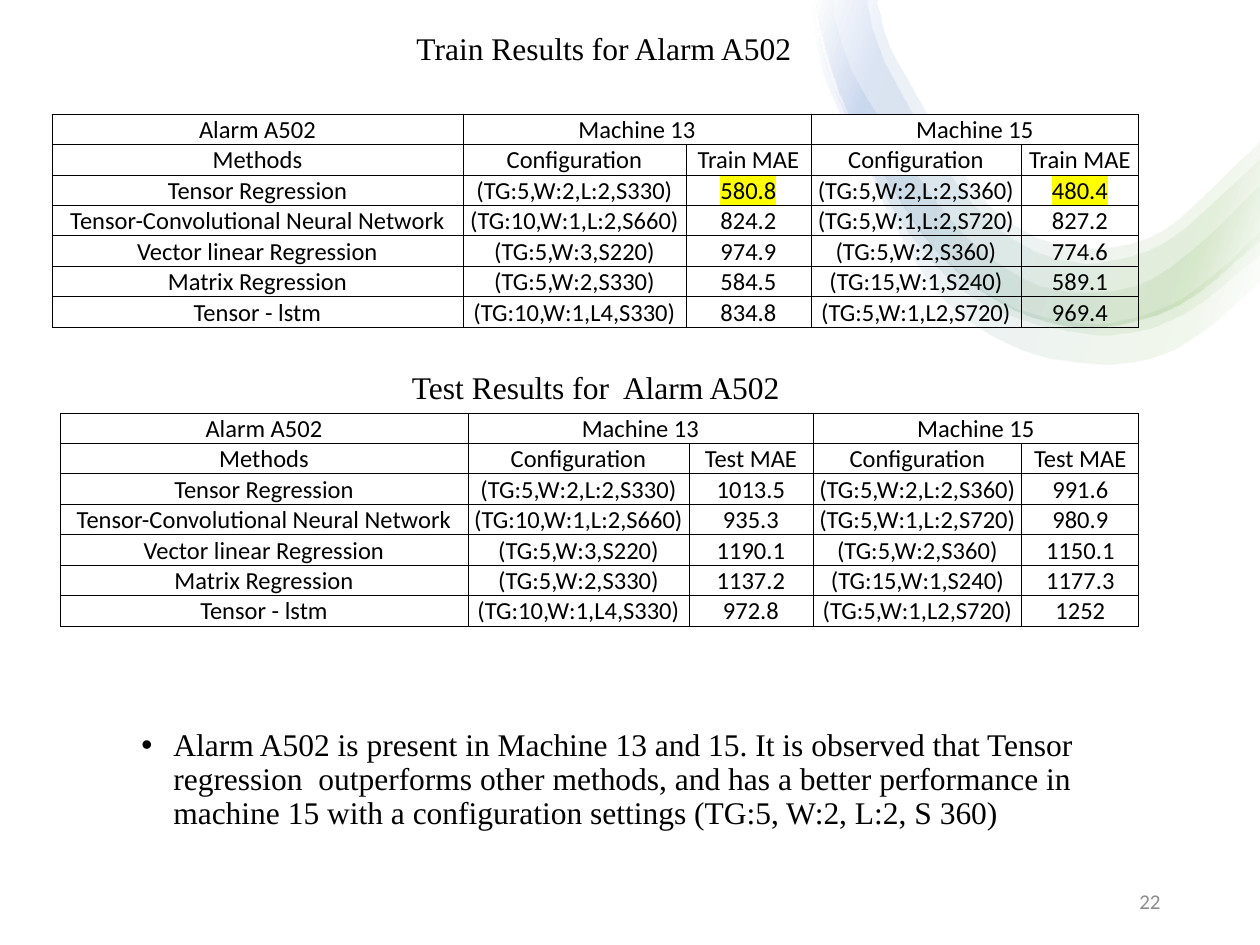
from lxml import etree
from pptx import Presentation
from pptx.dml.color import RGBColor
from pptx.enum.text import MSO_ANCHOR as Anchor, PP_ALIGN as Align
from pptx.oxml import parse_xml
from pptx.oxml.ns import nsdecls, qn
from pptx.util import Pt

PX = 914400 // 126
BLACK, WHITE, GREY, YELLOW = "000000", "FFFFFF", "8C8C8C", "FFFF00"
SERIF, SANS = "Times New Roman", "Calibri"

RIBBON_STOPS = [(2, WHITE), (16, "70AD47"), (85, "4472C4"), (100, WHITE)]
CORE_OUTER = [(1260, 239), (1246, 252), (1179, 305), (1100, 328), (1031, 317), (973, 285),
              (924, 236), (882, 170), (840, 94), (818, 10), (818, 0)]
# Inner edge runs from the top down to the right, outer edge runs back.
RIBBONS = [
    ([(816, 0), (819, 34), (833, 84), (857, 129), (891, 185), (927, 238), (969, 280),
      (1017, 309), (1068, 321), (1109, 323), (1171, 304), (1217, 271), (1260, 231)],
     [(1260, 281), (1211, 325), (1166, 353), (1125, 363), (1095, 364), (1036, 355),
      (979, 328), (937, 292), (895, 226), (866, 164), (842, 118), (823, 71), (814, 18),
      (813, 0)]),
    ([(834, 0), (837, 25), (851, 68), (873, 107), (907, 160), (941, 207), (978, 247),
      (1021, 277), (1056, 289), (1096, 292), (1133, 286), (1163, 271), (1205, 238),
      (1260, 184)],
     [(1260, 253), (1205, 299), (1160, 324), (1121, 333), (1092, 334), (1037, 324),
      (992, 307), (958, 286), (914, 239), (879, 184), (852, 127), (832, 81), (820, 39),
      (818, 0)]),
    ([(869, 0), (869, 10), (881, 52), (906, 101), (925, 134), (963, 192), (1003, 232),
      (1048, 256), (1100, 263), (1167, 241), (1234, 183), (1260, 158)], CORE_OUTER),
    ([(879, 0), (879, 8), (890, 46), (915, 92), (934, 126), (969, 181), (1005, 219),
      (1049, 242), (1100, 249), (1162, 231), (1227, 173), (1260, 141)], CORE_OUTER),
]

# Method, configuration on machine 13, configuration on machine 15
METHODS = [
    ("Tensor Regression", "(TG:5,W:2,L:2,S330)", "(TG:5,W:2,L:2,S360)"),
    ("Tensor-Convolutional Neural Network", "(TG:10,W:1,L:2,S660)", "(TG:5,W:1,L:2,S720)"),
    ("Vector linear Regression", "(TG:5,W:3,S220)", "(TG:5,W:2,S360)"),
    ("Matrix Regression", "(TG:5,W:2,S330)", "(TG:15,W:1,S240)"),
    ("Tensor - lstm", "(TG:10,W:1,L4,S330)", "(TG:5,W:1,L2,S720)"),
]
TRAIN_MAE = [("580.8", "480.4"), ("824.2", "827.2"), ("974.9", "774.6"),
             ("584.5", "589.1"), ("834.8", "969.4")]
TEST_MAE = [("1013.5", "991.6"), ("935.3", "980.9"), ("1190.1", "1150.1"),
            ("1137.2", "1177.3"), ("972.8", "1252")]


def rgb(color):
    return RGBColor.from_string(color)


def emu(box):
    return [length * PX for length in box]


def add_run(paragraph, text, size, font, color=BLACK):
    run = paragraph.add_run()
    run.text = text
    run.font.size, run.font.name = Pt(size), font
    run.font.color.rgb = rgb(color)
    return run


def highlight(run, color):
    fill = run.font._element.find(qn("a:solidFill"))
    fill.addnext(parse_xml(f'<a:highlight {nsdecls("a")}><a:srgbClr val="{color}"/></a:highlight>'))


def smooth(points, steps=4):
    """Catmull-Rom curve through the points."""
    padded = [points[0], *points, points[-1]]
    curve = [points[0]]
    for a, b, c, d in zip(padded, padded[1:], padded[2:], padded[3:]):
        for step in range(1, steps + 1):
            t = step / steps
            curve.append(tuple(
                (2 * q + (r - p) * t + (2 * p - 5 * q + 4 * r - s) * t ** 2
                 + (3 * q - p - 3 * r + s) * t ** 3) / 2
                for p, q, r, s in zip(a, b, c, d)))
    return curve


def add_ribbon(slide, inner, outer):
    outline = smooth(inner) + smooth(outer)
    builder = slide.shapes.build_freeform(*outline[0], scale=PX)
    builder.add_line_segments(outline[1:], close=True)
    ribbon = builder.convert_to_shape()
    ribbon.shadow.inherit = False
    ribbon.line.fill.background()
    ribbon.fill.gradient()
    gradient = ribbon._element.spPr.find(qn("a:gradFill"))
    stops = "".join(
        f'<a:gs pos="{place * 1000}"><a:srgbClr val="{color}"><a:alpha val="10000"/>'
        f'</a:srgbClr></a:gs>' for place, color in RIBBON_STOPS)
    gradient.getparent().replace(gradient, parse_xml(
        f'<a:gradFill {nsdecls("a")} rotWithShape="1"><a:gsLst>{stops}</a:gsLst>'
        f'<a:lin ang="{200 * 60000}" scaled="0"/></a:gradFill>'))


def fill_heading(shape, text):
    frame = shape.text_frame
    frame.word_wrap = True
    frame.vertical_anchor = Anchor.TOP
    frame.paragraphs[0].alignment = Align.CENTER
    add_run(frame.paragraphs[0], text, 18, SERIF)


def add_title(slide, box, text):
    title = slide.shapes.title
    title.left, title.top, title.width, title.height = emu(box)
    fill_heading(title, text)


def add_heading(slide, box, text):
    fill_heading(slide.shapes.add_textbox(*emu(box)), text)


def add_borders(cell):
    properties = cell._tc.get_or_add_tcPr()
    for side in ("lnL", "lnR", "lnT", "lnB"):
        line = etree.SubElement(properties, qn(f"a:{side}"), w=str(Pt(0.5)))
        fill = etree.SubElement(line, qn("a:solidFill"))
        etree.SubElement(fill, qn("a:srgbClr"), val=BLACK)


def add_results(slide, box, widths, measure, scores, best_row=None):
    """Table of methods by machine; best_row is the method whose scores are highlighted."""
    rows = [("Alarm A502", "Machine 13", "", "Machine 15", ""),
            ("Methods",) + ("Configuration", measure) * 2]
    rows += [(method, config13, mae13, config15, mae15)
             for (method, config13, config15), (mae13, mae15) in zip(METHODS, scores)]
    table = slide.shapes.add_table(len(rows), len(widths), *emu(box)).table
    table.first_row = table.horz_banding = False
    for column, width in zip(table.columns, widths):
        column.width = width * PX
    for r, row in enumerate(rows):
        table.rows[r].height = box[3] * PX // len(rows)
        for c, text in enumerate(row):
            cell = table.cell(r, c)
            cell.margin_left = cell.margin_right = cell.margin_top = PX
            cell.margin_bottom = 0
            cell.vertical_anchor = Anchor.BOTTOM
            add_borders(cell)
            if r < 2:
                cell.fill.solid()
                cell.fill.fore_color.rgb = rgb(WHITE)
            else:
                cell.fill.background()
            paragraph = cell.text_frame.paragraphs[0]
            paragraph.alignment = Align.CENTER
            if text:
                run = add_run(paragraph, text, 14, SANS)
                if r - 2 == best_row and c in (2, 4):
                    highlight(run, YELLOW)
    for first in (1, 3):
        table.cell(0, first).merge(table.cell(0, first + 1))


def add_finding(slide, box, text):
    frame = slide.shapes.add_textbox(*emu(box)).text_frame
    frame.word_wrap = True
    frame.vertical_anchor = Anchor.MIDDLE
    paragraph = frame.paragraphs[0]
    properties = paragraph._p.get_or_add_pPr()
    properties.set("marL", str(39 * PX))
    properties.set("indent", str(-32 * PX))
    etree.SubElement(properties, qn("a:buFont"), typeface="Arial")
    etree.SubElement(properties, qn("a:buChar"), char="•")
    paragraph.line_spacing, paragraph.space_after = 0.9, Pt(6)
    add_run(paragraph, text, 18, SERIF)


def add_page_number(slide, box, number):
    frame = slide.shapes.add_textbox(*emu(box)).text_frame
    frame.word_wrap = True
    frame.vertical_anchor = Anchor.MIDDLE
    paragraph = frame.paragraphs[0]
    paragraph.alignment, paragraph.space_after = Align.RIGHT, Pt(6)
    add_run(paragraph, number, 12, SANS, GREY)


def main():
    deck = Presentation()
    deck.slide_width, deck.slide_height = emu((1260, 945))
    slide = deck.slides.add_slide(deck.slide_layouts[5])
    for inner, outer in RIBBONS:
        add_ribbon(slide, inner, outer)
    add_finding(slide, (122, 713, 1052, 134),
                "Alarm A502 is present in Machine 13 and 15. It is observed that Tensor "
                "regression  outperforms other methods, and has a better performance in "
                "machine 15 with a configuration settings (TG:5, W:2, L:2, S 360)")
    add_page_number(slide, (890, 876, 283, 50), "22")
    add_title(slide, (357, 23, 494, 53), "Train Results for Alarm A502")
    add_results(slide, (52, 114, 1087, 213), (411, 223, 125, 210, 118),
                "Train MAE", TRAIN_MAE, best_row=0)
    add_heading(slide, (349, 362, 494, 53), "Test Results for  Alarm A502")
    add_results(slide, (60, 413, 1079, 213), (408, 221, 124, 209, 117),
                "Test MAE", TEST_MAE)
    deck.save("out.pptx")


if __name__ == "__main__":
    main()
